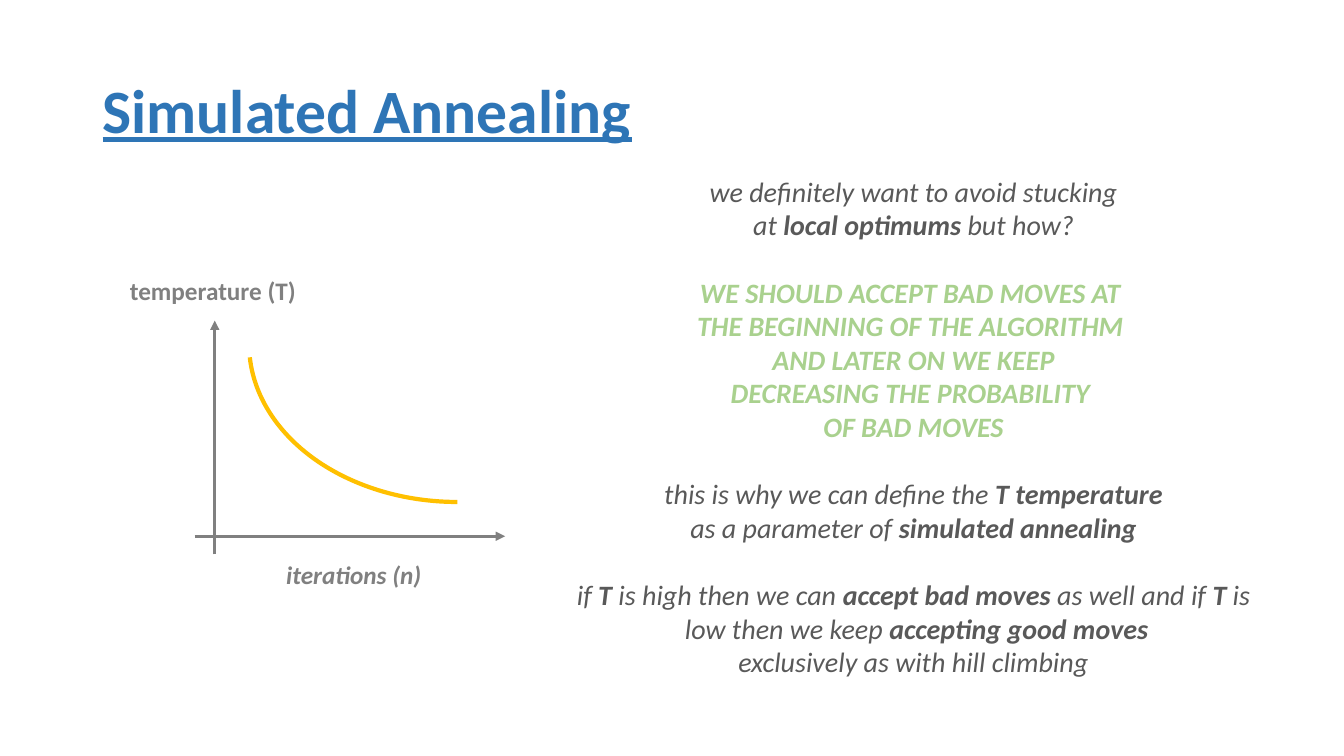
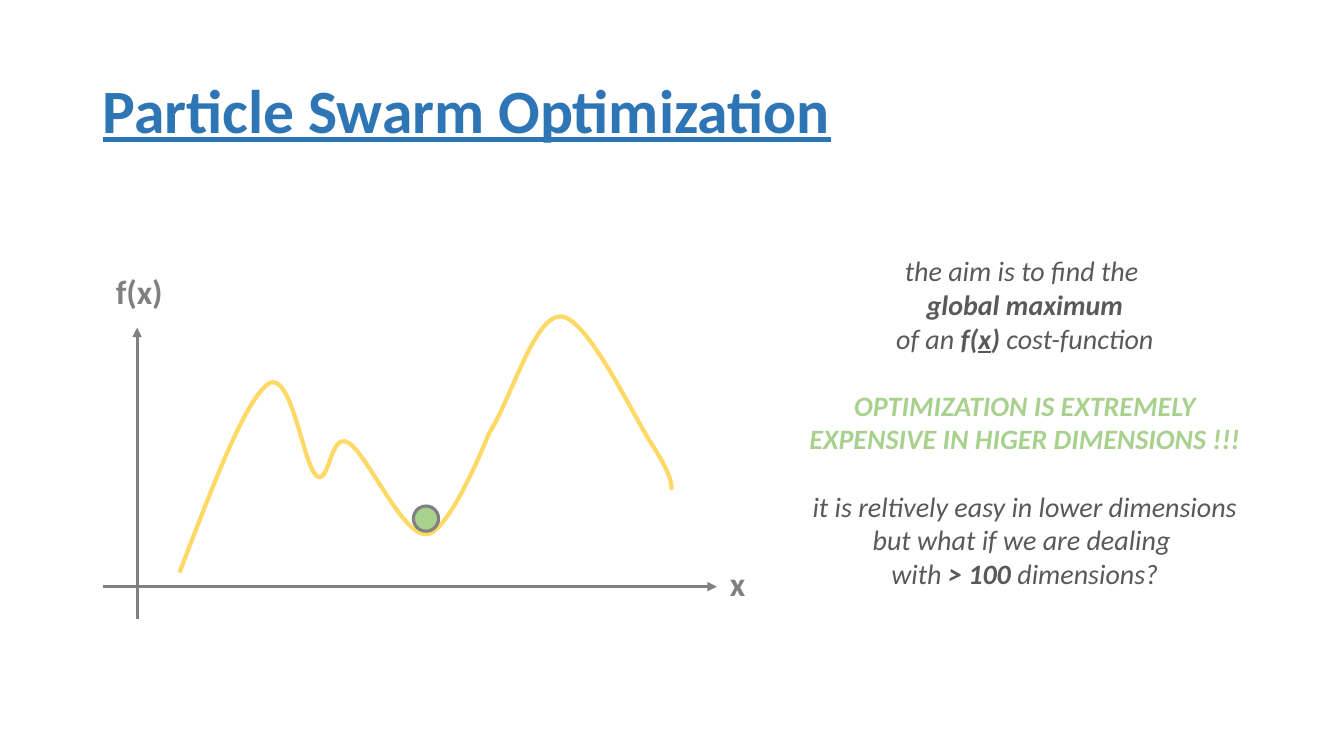
from pptx import Presentation
from pptx.dml.color import RGBColor
from pptx.enum.shapes import MSO_CONNECTOR, MSO_SHAPE
from pptx.enum.text import MSO_ANCHOR, PP_ALIGN
from pptx.oxml.ns import qn
from pptx.util import Inches, Pt
from lxml import etree

COLORS = {
    "title": "2E75B6", "gray": "808080", "body": "595959",
    "green": "A9D18E", "gold": "FFC000", "yellow": "FFD966",
}
RGB = {name: RGBColor.from_string(value) for name, value in COLORS.items()}

TITLE = {"size": Pt(44), "bold": True, "underline": True}
LABEL = {"size": Pt(18), "bold": True}
AXIS_NAME = {"size": Pt(24), "bold": True}
BODY = {"size": Pt(20), "italic": True}
BLOCK_GAP = Pt(24)


def add_text(s, box, blocks, fmt, align=PP_ALIGN.LEFT):
    tf = s.shapes.add_textbox(*map(Inches, box)).text_frame
    tf.word_wrap = False
    p = None
    for color, lines in blocks:
        for n, line in enumerate(lines):
            first = p is None
            p = tf.paragraphs[0] if first else tf.add_paragraph()
            p.alignment = align
            if n == 0 and not first:
                p.space_before = BLOCK_GAP
            for i, part in enumerate(line.split("*")):
                for j, piece in enumerate(part.split("_")):
                    for k, text in enumerate(piece.split("\n")):
                        if k:
                            p.add_line_break()
                        if not text:
                            continue
                        r = p.add_run()
                        r.text = text
                        r.font.name = "Calibri"
                        r.font.color.rgb = RGB[color]
                        marks = {"bold": i % 2 == 1, "underline": j % 2 == 1}
                        for key, value in {**marks, **fmt}.items():
                            setattr(r.font, key, value)
    return tf


def set_line(shape, color, width):
    shape.line.color.rgb = RGB[color]
    shape.line.width = Pt(width)


prs = Presentation()
prs.slide_width, prs.slide_height = Inches(13.33), Inches(7.5)

SLIDES = [
    {
        "title": "Simulated Annealing",
        "axes": [(2.13, 5.5, 2.13, 3.18), (1.93, 5.32, 5.01, 5.32)],
        "labels": [
            ("iterations (n)", (2.74, 5.5, 1.56, 0.4), {**LABEL, "italic": True}),
            ("temperature (T)", (1.19, 2.68, 1.87, 0.4), LABEL),
        ],
        "body_box": (5.62, 1.68, 6.88, 5.15),
        "body": [
            ("body", ["we definitely want to avoid stucking",
                      "at *local optimums *but how?"]),
            ("green", ["*WE SHOULD ACCEPT BAD MOVES AT *",
                       "*THE BEGINNING OF THE ALGORITHM *",
                       "*AND LATER ON WE KEEP*",
                       "*DECREASING THE PROBABILITY *",
                       "*OF BAD MOVES*"]),
            ("body", ["this is why we can define the *T temperature*",
                      "as a parameter of *simulated annealing*"]),
            ("body", ["if *T* is high then we can *accept bad moves *as well and if *T* is",
                      " low then we keep *accepting good moves*",
                      "exclusively as with hill climbing"]),
        ],
    },
    {
        "title": "Particle Swarm Optimization",
        "axes": [(1.36, 6.14, 1.36, 3.25), (1.02, 5.82, 7.11, 5.82)],
        "labels": [
            ("f(x)", (1.05, 2.64, 0.67, 0.5), AXIS_NAME),
            ("x", (7.14, 5.54, 0.36, 0.5), AXIS_NAME),
        ],
        "body_box": (7.91, 2.47, 4.51, 3.47),
        "body": [
            ("body", ["the aim is to find the ",
                      "*global maximum*",
                      "of an *f(_x_)* cost-function"]),
            ("green", ["*OPTIMIZATION IS EXTREMELY\nEXPENSIVE IN HIGER DIMENSIONS !!!*"]),
            ("body", ["it is reltively easy in lower dimensions",
                      "but what if we are dealing ",
                      "with *> 100* dimensions?"]),
        ],
    },
]

slides = []
for data in SLIDES:
    s = prs.slides.add_slide(prs.slide_layouts[6])
    slides.append(s)
    tf = add_text(s, (0.92, 0.4, 11.5, 1.45), [("title", [data["title"]])], TITLE)
    tf.word_wrap = True
    tf.vertical_anchor = MSO_ANCHOR.MIDDLE
    tf.paragraphs[0].line_spacing = 0.9
    for ends in data["axes"]:
        axis = s.shapes.add_connector(MSO_CONNECTOR.STRAIGHT, *map(Inches, ends))
        set_line(axis, "gray", 2.25)
        etree.SubElement(axis.line._get_or_add_ln(), qn("a:tailEnd"), type="triangle")
        etree.SubElement(axis._element.spPr, qn("a:effectLst"))
    for text, box, fmt in data["labels"]:
        add_text(s, box, [("gray", [text])], fmt)
    add_text(s, data["body_box"], data["body"], BODY, PP_ALIGN.CENTER)

annealing, swarm = slides

cooling = annealing.shapes.add_shape(
    MSO_SHAPE.ARC, Inches(2.47), Inches(1.85), Inches(4.13), Inches(3.13))
cooling.adjustments[0] = 162
cooling.adjustments[1] = 213.83
cooling.rotation = 180
cooling.shadow.inherit = False
cooling.fill.background()
set_line(cooling, "gold", 3)

START = (1.78, 5.68)
CURVES = [
    ((2.11, 4.82), (2.43, 3.97), (2.66, 3.81)),
    ((2.89, 3.65), (3.01, 4.63), (3.14, 4.72)),
    ((3.27, 4.82), (3.27, 4.29), (3.45, 4.39)),
    ((3.64, 4.49), (3.99, 5.32), (4.23, 5.3)),
    ((4.46, 5.29), (4.85, 4.3), (4.85, 4.3)),
    ((5.08, 3.94), (5.3, 3.12), (5.57, 3.14)),
    ((5.84, 3.17), (6.29, 4.15), (6.48, 4.43)),
    ((6.66, 4.72), (6.66, 4.79), (6.66, 4.86)),
]
builder = swarm.shapes.build_freeform(*map(Inches, START))
builder.add_line_segments(
    [tuple(map(Inches, curve[-1])) for curve in CURVES], close=False)
cost = builder.convert_to_shape()
segments = list(cost._element.iter(qn("a:lnTo")))
for segment, curve in zip(segments, CURVES):
    bezier = etree.Element(qn("a:cubicBezTo"))
    for x, y in curve:
        etree.SubElement(bezier, qn("a:pt"),
                         x=str(Inches(x) - cost.left), y=str(Inches(y) - cost.top))
    segment.getparent().replace(segment, bezier)
cost.shadow.inherit = False
cost.fill.background()
set_line(cost, "yellow", 3)

particle = swarm.shapes.add_shape(
    MSO_SHAPE.OVAL, Inches(4.1), Inches(5.02), Inches(0.25), Inches(0.25))
particle.shadow.inherit = False
particle.fill.solid()
particle.fill.fore_color.rgb = RGB["green"]
set_line(particle, "gray", 2.25)

prs.save("out.pptx")
